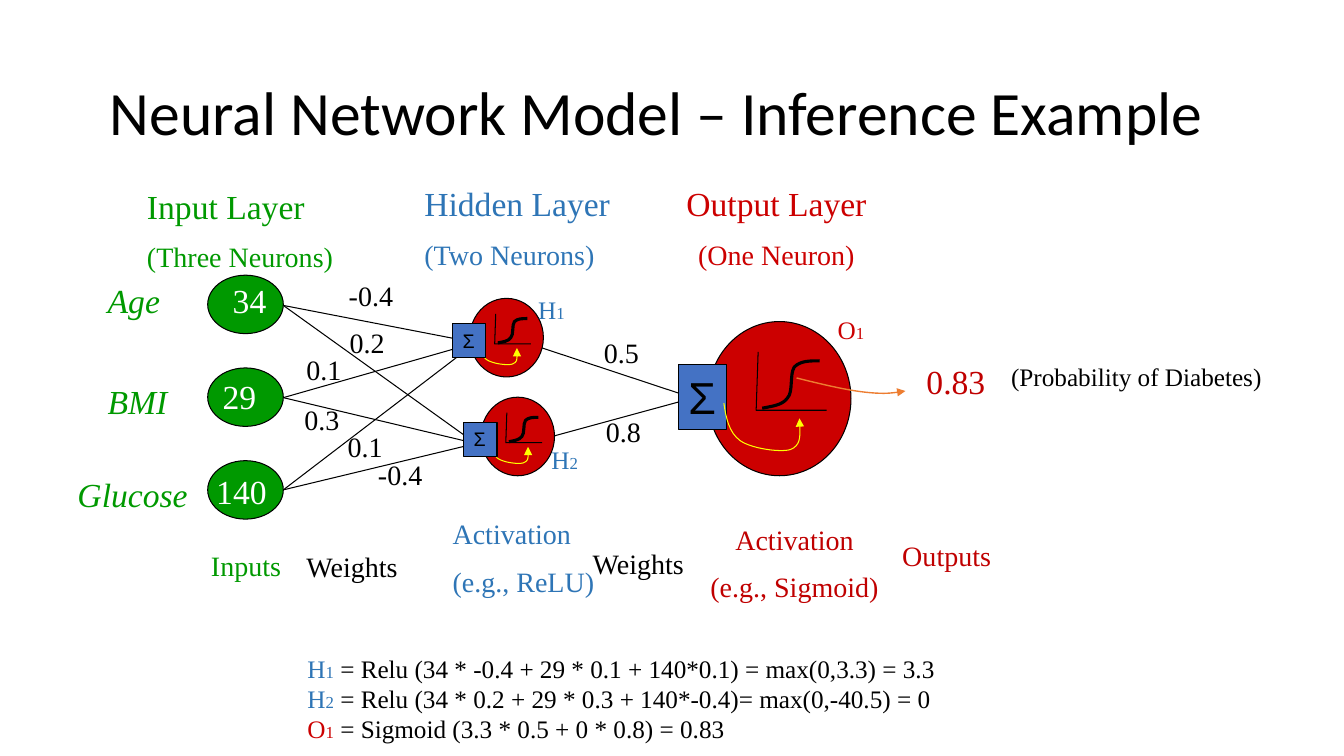
from pptx import Presentation
from pptx import util as u
from pptx.dml.color import RGBColor
from pptx.enum import shapes, text
from pptx.oxml.ns import qn
from lxml import etree

PX = 9144
SERIF = "Times New Roman"
GREEN, BLUE, RED, DARK_RED = "009900", "2E75B6", "CC0000", "C00000"
BLACK, WHITE, YELLOW, ORANGE, SQUARE_BLUE = "000000", "FFFFFF", "FFFF00", "ED7D31", "4472C4"
LEFT, CENTER = text.PP_ALIGN.LEFT, text.PP_ALIGN.CENTER

SIGMOID = [(54, 86), (64, 84), (74, 83), (79, 76), (85, 70), (81, 52), (86, 45),
           (92, 39), (101, 39), (111, 39)]
AXES = [(50, 30), (48, 88), (118, 88)]
FEED = [(16, 81), (18, 95), (21, 110), (32, 118), (43, 126), (72, 130), (82, 127),
        (92, 123), (92, 110), (91, 96)]
RESULT = [(88, 56), (112, 62), (137, 68), (155, 70), (173, 72), (185, 71), (196, 69)]


def px(value):
    return u.Emu(round(value * PX))


def color(code):
    return RGBColor.from_string(code)


def style_font(font, size, code, name=SERIF, italic=None):
    font.name, font.size, font.italic = name, u.Pt(size), italic
    font.color.rgb = color(code)


def style_line(line, code, width):
    line.color.rgb, line.width = color(code), u.Pt(width)


def label(page, box, lines, code, align=LEFT, italic=None, wrap=True):
    frame = page.shapes.add_textbox(*map(px, box)).text_frame
    frame.word_wrap = wrap
    for index, (words, size) in enumerate(lines):
        para = frame.paragraphs[0] if index == 0 else frame.add_paragraph()
        para.text, para.alignment = words, align
        if index:
            para.space_before = u.Pt(10)
        style_font(para.font, size, code, italic=italic)


def node_names(page, box, lines):
    frame = page.shapes.add_textbox(*map(px, box)).text_frame
    frame.word_wrap = True
    for index, (letter, number, code, formula) in enumerate(lines):
        para = frame.paragraphs[0] if index == 0 else frame.add_paragraph()
        para.font.name = SERIF
        for words, size, shade in ((letter, 18, code), (number, 12, code), (formula, 18, BLACK)):
            if words:
                span = para.add_run()
                span.text = words
                span.font.size = u.Pt(size)
                span.font.color.rgb = color(shade)


def preset(page, kind, box, fill):
    shape = page.shapes.add_shape(kind, *map(px, box))
    shape.shadow.inherit = False
    shape.fill.solid()
    shape.fill.fore_color.rgb = color(fill)
    style_line(shape.line, BLACK, 0.75)
    return shape


def connect(page, start, end):
    link = page.shapes.add_connector(shapes.MSO_CONNECTOR.STRAIGHT, *map(px, start + end))
    style_line(link.line, BLACK, 0.75)
    etree.SubElement(link._element.spPr, qn("a:effectLst"))


def stroke(page, left, top, ratio, points, code, width):
    places = [(px(left + x * ratio), px(top + y * ratio)) for x, y in points]
    builder = page.shapes.build_freeform(*places[0])
    builder.add_line_segments(places[1:], close=False)
    shape = builder.convert_to_shape()
    shape.shadow.inherit = False
    shape.fill.background()
    style_line(shape.line, code, width)
    return shape


def curve(page, left, top, ratio, points, code, width, arrow=False):
    shape = stroke(page, left, top, ratio, points, code, width)
    properties = shape._element.spPr
    segments = list(properties.iter(qn("a:lnTo")))
    for first in range(0, len(segments), 3):
        bend = etree.Element(qn("a:cubicBezTo"))
        segments[first].addprevious(bend)
        for segment in segments[first:first + 3]:
            bend.append(segment[0])
            segment.getparent().remove(segment)
    if arrow:
        etree.SubElement(properties.find(qn("a:ln")), qn("a:tailEnd"), type="triangle")


def sum_square(page, box, size):
    frame = preset(page, shapes.MSO_SHAPE.RECTANGLE, box, SQUARE_BLUE).text_frame
    frame.word_wrap, frame.vertical_anchor = False, text.MSO_ANCHOR.TOP
    para = frame.paragraphs[0]
    para.text, para.alignment = "Σ", LEFT
    style_font(para.font, size, BLACK, "Arial")


def neuron(page, box, square, sigma_size, feed_on_top=False):
    group = page.shapes.add_group_shape()
    left, top, width, _ = box
    dx, dy, *size = square
    place = (left, top, width / 142)
    preset(group, shapes.MSO_SHAPE.FLOWCHART_CONNECTOR, box, RED)
    curve(group, *place, SIGMOID, BLACK, 2.25)
    stroke(group, *place, AXES, BLACK, 0.75)
    if not feed_on_top:
        curve(group, *place, FEED, YELLOW, 0.75, True)
    sum_square(group, (left + dx, top + dy, *size), sigma_size)
    if feed_on_top:
        curve(group, *place, FEED, YELLOW, 0.75, True)
    return group


def title(page, box):
    holder = page.shapes.title
    holder.left, holder.top, holder.width, holder.height = map(px, box)
    holder.text_frame.vertical_anchor = text.MSO_ANCHOR.MIDDLE
    para = holder.text_frame.paragraphs[0]
    para.text, para.alignment = "Neural Network Model – Inference Example", LEFT
    para.line_spacing = 0.9
    style_font(para.font, 44, BLACK, "Calibri")


def input_layer(page, left, top):
    label(page, (left + 69, top, 267, 101), [("Input Layer", 24), ("(Three Neurons)", 20)], GREEN)
    inputs = [("Age", 30, 94, "34", 139, 94), ("BMI", 30, 194, "29", 129, 189),
              ("Glucose", 0, 286, "140", 131, 283)]
    for row, (name, name_x, name_y, value, value_x, value_y) in enumerate(inputs):
        preset(page, shapes.MSO_SHAPE.FLOWCHART_CONNECTOR,
               (left + 139, top + 94 + 92 * row, 75, 58), GREEN)
        label(page, (left + name_x, top + name_y, 139 if row == 2 else 100, 50),
              [(name, 24)], GREEN, italic=True)
        label(page, (left + value_x, top + value_y, 83, 50), [(value, 24)], WHITE, CENTER)
    label(page, (left + 73, top + 360, 208, 44), [("Inputs", 20)], GREEN, CENTER)


def weights(page, left, top):
    for row in range(3):
        for target in (69, 169):
            connect(page, (left, top + 32 + 91.5 * row), (left + 191, top + target))
    for source, target in ((69, 120), (169, 127)):
        connect(page, (left + 241, top + source), (left + 395, top + target))
    values = [("-0.4", 55, 0), ("0.2", 56, 47), ("0.1", 13, 74), ("0.3", 11, 123),
              ("0.1", 54, 150), ("-0.4", 84, 178), ("0.5", 308, 57), ("0.8", 310, 135)]
    for value, x, y in values:
        label(page, (left + x, top + y, 65 if "-" in value else 55, 44), [(value, 20)],
              BLACK, wrap=False)
    for x, y in ((13, 269), (297, 266)):
        label(page, (left + x, top + y, 143, 44), [("Weights", 20)], BLACK)


def hidden_layer(page, left, top):
    label(page, (left, top, 242, 101), [("Hidden Layer", 24), ("(Two Neurons)", 20)], BLUE)
    for row, name_y in enumerate((110, 259)):
        neuron(page, (left + 55 + 11 * row, top + 119 + 98 * row, 73, 78), (-17, 25, 33, 34), 14)
        node_names(page, (left + 113 + 13 * row, top + name_y, 73, 40),
                   [("H", str(row + 1), BLUE, "")])
    label(page, (left + 28, top + 331, 175, 94), [("Activation", 20), ("(e.g., ReLU)", 20)], BLUE)


def output_layer(page, left, top):
    label(page, (left, top, 242, 101), [("Output Layer", 24), ("(One Neuron)", 20)], RED, CENTER)
    group = neuron(page, (left + 53, top + 142, 142, 153), (-29, 43, 48, 64), 32, True)
    curve(group, left + 53, top + 142, 1, RESULT, ORANGE, 1, True)
    node_names(page, (left + 172, top + 130, 55, 40), [("O", "1", RED, "")])
    label(page, (left + 260, top + 176, 108, 50), [("0.83", 24)], DARK_RED)
    label(page, (left + 344, top + 177, 329, 50), [("(Probability of Diabetes)", 18)], BLACK)
    label(page, (left + 35, top + 336, 208, 94), [("Activation", 20), ("(e.g., Sigmoid)", 20)],
          DARK_RED, CENTER)
    label(page, (left + 236, top + 352, 175, 44), [("Outputs", 20)], DARK_RED)


def formulas(page, box):
    node_names(page, box, [
        ("H", "1", BLUE, " = Relu (34 * -0.4 + 29 * 0.1 + 140*0.1) = max(0,3.3) = 3.3"),
        ("H", "2", BLUE, " = Relu (34 * 0.2 + 29 * 0.3 + 140*-0.4)= max(0,-40.5) = 0"),
        ("O", "1", RED, " = Sigmoid (3.3 * 0.5 + 0 * 0.8) = 0.83")])


def main():
    deck = Presentation()
    deck.slide_width, deck.slide_height = px(1333), px(750)
    page = deck.slides.add_slide(deck.slide_layouts[5])
    title(page, (99, 42, 1150, 145))
    weights(page, 281, 271)
    input_layer(page, 67, 179)
    hidden_layer(page, 411, 177)
    output_layer(page, 649, 177)
    formulas(page, (295, 643, 759, 101))
    deck.save("out.pptx")


if __name__ == "__main__":
    main()
